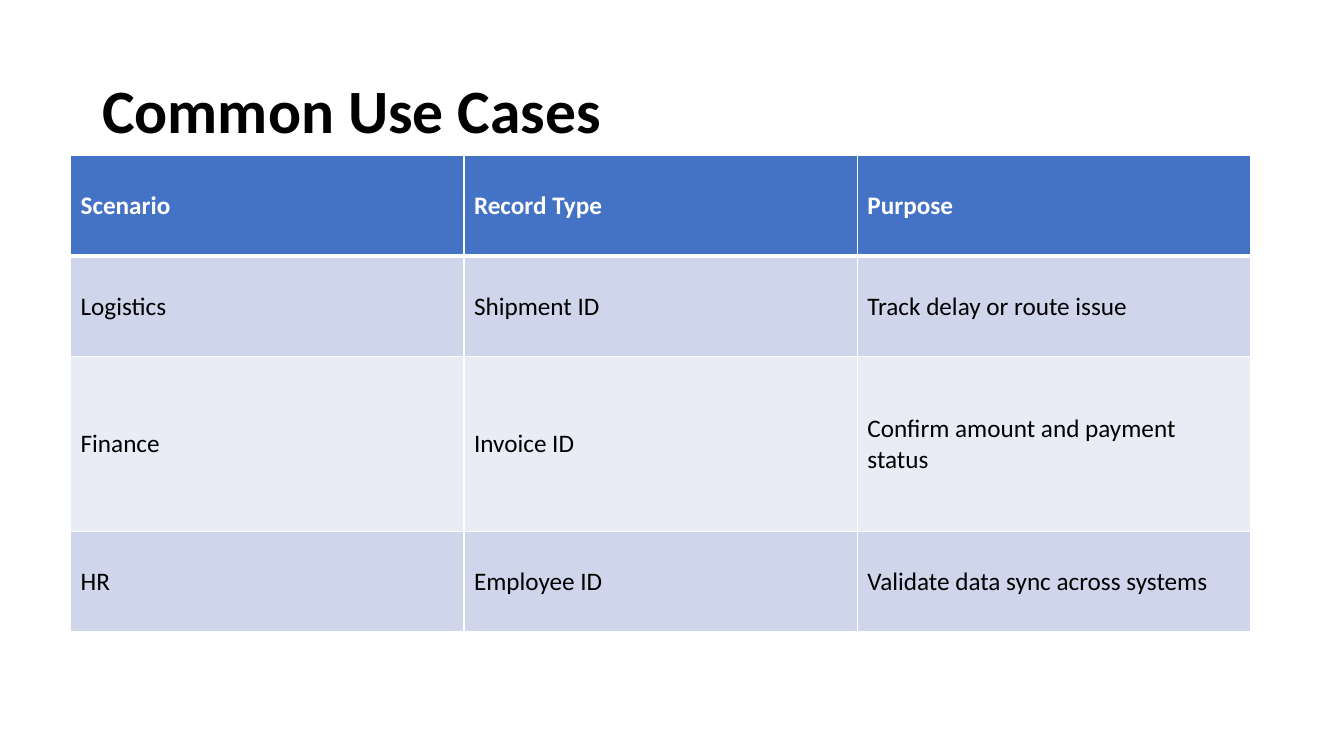
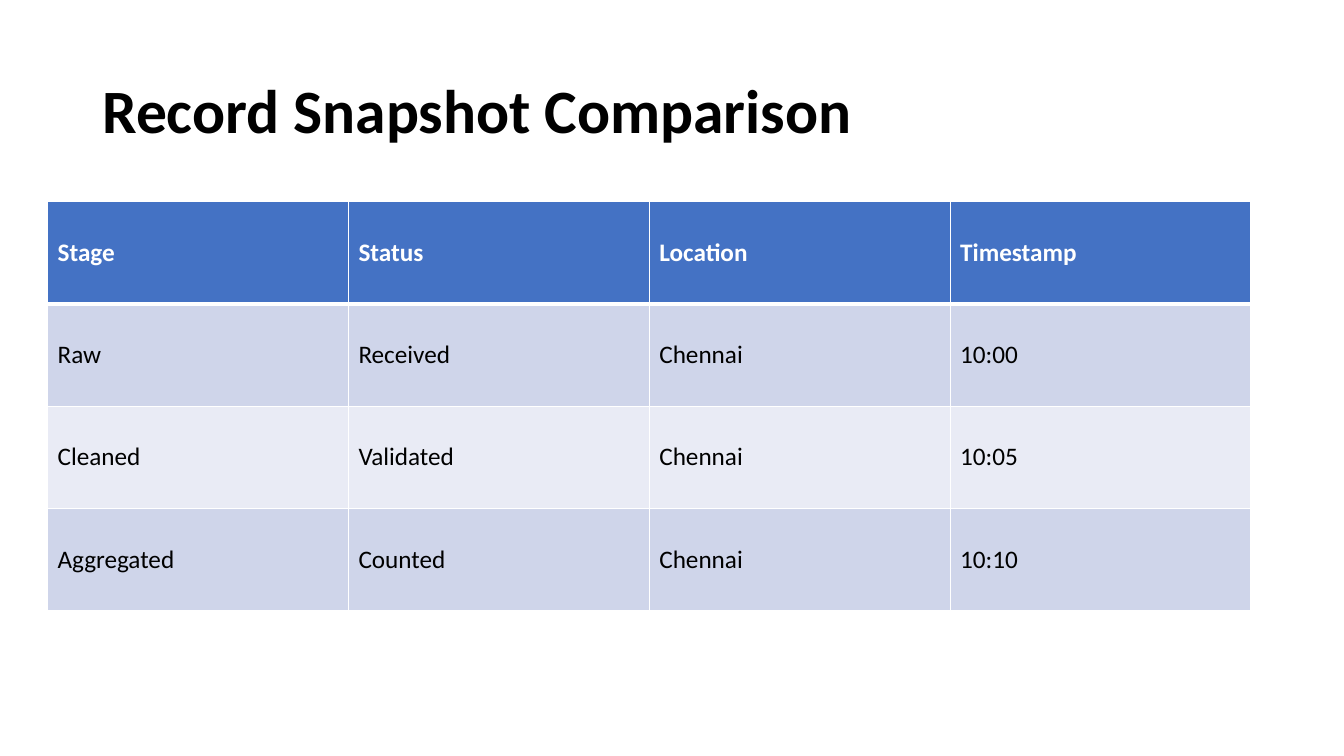
from dataclasses import dataclass

from lxml.etree import SubElement
from pptx import Presentation
from pptx.dml.color import RGBColor
from pptx.enum.text import MSO_ANCHOR
from pptx.oxml.ns import qn
from pptx.util import Pt

SLIDES = [
    {
        "title": "Common Use Cases",
        "position": (50.4, 110.9),
        "column_width": 281,
        "row_heights": (72, 72, 124.5, 72),
        "rows": [
            ("Scenario", "Record Type", "Purpose"),
            ("Logistics", "Shipment ID", "Track delay or route issue"),
            ("Finance", "Invoice ID", "Confirm amount and payment status"),
            ("HR", "Employee ID", "Validate data sync across systems"),
        ],
    },
    {
        "title": "Record Snapshot Comparison",
        "position": (34, 144.2),
        "column_width": 214.9,
        "row_heights": (73, 73, 73, 73),
        "rows": [
            ("Stage", "Status", "Location", "Timestamp"),
            ("Raw", "Received", "Chennai", "10:00"),
            ("Cleaned", "Validated", "Chennai", "10:05"),
            ("Aggregated", "Counted", "Chennai", "10:10"),
        ],
    },
]


@dataclass(frozen=True)
class Theme:
    font: str = "Calibri"
    title_size: int = 44
    table_size: int = 18
    text: str = "000000"
    header_text: str = "FFFFFF"
    header_fill: str = "4472C4"
    band_fills: tuple = ("CFD5EA", "E9EBF5")
    border: str = "FFFFFF"
    border_width: int = 1
    header_rule_width: int = 3


THEME = Theme()
SLIDE_SIZE = (960, 540)
TITLE_BOX = (66, 28.8, 828, 104.4)


def write_text(text_frame, text, size, color, bold):
    paragraph = text_frame.paragraphs[0]
    run = paragraph.add_run()
    run.text = text
    font_format = {"name": THEME.font, "size": Pt(size), "bold": bold}
    for attribute, value in font_format.items():
        setattr(run.font, attribute, value)
    run.font.color.rgb = RGBColor.from_string(color)
    return paragraph


def add_title(slide, text):
    text_frame = slide.shapes.add_textbox(*map(Pt, TITLE_BOX)).text_frame
    frame_format = {"word_wrap": True, "vertical_anchor": MSO_ANCHOR.MIDDLE}
    for attribute, value in frame_format.items():
        setattr(text_frame, attribute, value)
    paragraph = write_text(text_frame, text, THEME.title_size, THEME.text, True)
    paragraph.line_spacing = 0.9


def set_borders(cell, top, bottom):
    """Draw all four cell borders, with given top and bottom widths."""
    properties = cell._tc.get_or_add_tcPr()
    side = THEME.border_width
    for tag, width in (("lnL", side), ("lnR", side), ("lnT", top), ("lnB", bottom)):
        line = SubElement(properties, qn(f"a:{tag}"), w=str(Pt(width)))
        fill = SubElement(line, qn("a:solidFill"))
        SubElement(fill, qn("a:srgbClr"), val=THEME.border)


def format_cell(cell, text, row_index):
    is_header = row_index == 0
    thin, thick = THEME.border_width, THEME.header_rule_width
    set_borders(cell, thick if row_index == 1 else thin, thick if is_header else thin)
    band = THEME.band_fills[(row_index - 1) % len(THEME.band_fills)]
    cell.fill.solid()
    cell.fill.fore_color.rgb = RGBColor.from_string(
        THEME.header_fill if is_header else band)
    cell.vertical_anchor = MSO_ANCHOR.MIDDLE
    color = THEME.header_text if is_header else THEME.text
    write_text(cell.text_frame, text, THEME.table_size, color, is_header)


def add_banded_table(slide, rows, position, column_width, row_heights):
    column_count = len(rows[0])
    size = (column_width * column_count, sum(row_heights))
    table = slide.shapes.add_table(
        len(rows), column_count, *map(Pt, position + size)).table
    for column in table.columns:
        column.width = Pt(column_width)
    for row_index, (texts, height) in enumerate(zip(rows, row_heights)):
        table.rows[row_index].height = Pt(height)
        for column_index, text in enumerate(texts):
            format_cell(table.cell(row_index, column_index), text, row_index)


def main():
    presentation = Presentation()
    presentation.slide_width, presentation.slide_height = map(Pt, SLIDE_SIZE)
    blank_layout = presentation.slide_layouts[6]
    for content in SLIDES:
        slide = presentation.slides.add_slide(blank_layout)
        add_title(slide, content["title"])
        add_banded_table(slide, content["rows"], content["position"],
                         content["column_width"], content["row_heights"])
    presentation.save("out.pptx")


if __name__ == "__main__":
    main()
